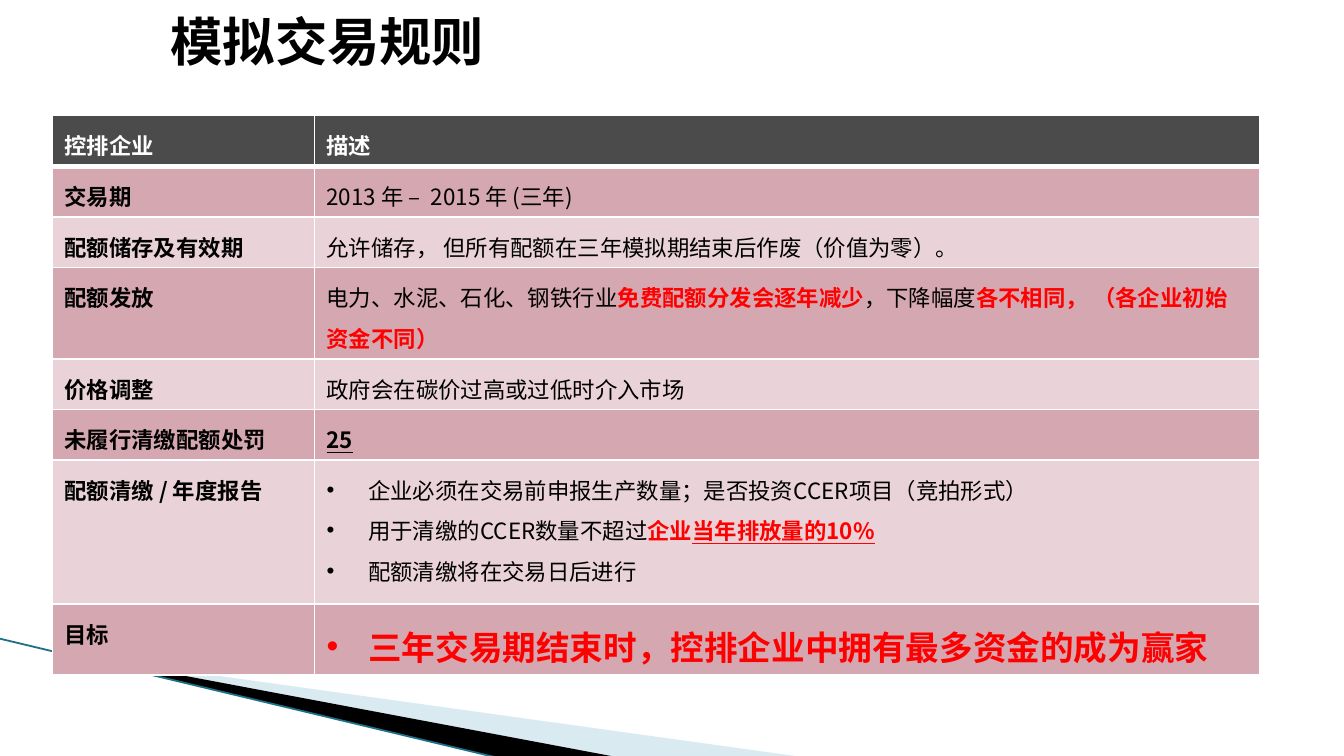
from lxml.etree import SubElement
from pptx import Presentation
from pptx.dml.color import RGBColor
from pptx.enum.shapes import MSO_CONNECTOR
from pptx.enum.text import MSO_ANCHOR, PP_ALIGN
from pptx.oxml.ns import qn
from pptx.util import Inches, Pt

WHITE = RGBColor(0xFF, 0xFF, 0xFF)
BLACK = RGBColor(0, 0, 0)
RED = RGBColor(0xFF, 0, 0)
HEADER = RGBColor(0x4B, 0x4B, 0x4B)
ROSE = RGBColor(0xD5, 0xA7, 0xB1)
PALE_ROSE = RGBColor(0xEA, 0xD3, 0xD8)
PALE_BLUE = RGBColor(0xA0, 0xCB, 0xDC)
TEAL = RGBColor(0x1C, 0x70, 0x88)
FONT = "Noto Sans CJK SC"

SLIDE_WIDTH = 10
SLIDE_HEIGHT = SLIDE_WIDTH * 9 / 16

PLAIN = {}
BOLD = {"bold": True}
ALERT = {"bold": True, "color": RED}
ALERT_UNDERLINED = {**ALERT, "underline": True}
GOAL = {**ALERT, "size": Pt(18)}

TITLE = "模拟交易规则"
HEADINGS = ("控排企业", "描述")
# Label, row height, bulleted, paragraphs made of (text, format) runs
RULES = [
    ("交易期", 0.32, False, [[("2013 年 –  2015 年 (三年)", PLAIN)]]),
    ("配额储存及有效期", 0.32, False,
     [[("允许储存， 但所有配额在三年模拟期结束后作废（价值为零）。", PLAIN)]]),
    ("配额发放", 0.57, False,
     [[("电力、水泥、石化、钢铁行业", PLAIN),
       ("免费配额分发会逐年减少", ALERT),
       ("，下降幅度", PLAIN),
       ("各不相同， （各企业初始资金不同）", ALERT)]]),
    ("价格调整", 0.32, False, [[("政府会在碳价过高或过低时介入市场", PLAIN)]]),
    ("未履行清缴配额处罚", 0.32, False,
     [[("25", {"bold": True, "underline": True})]]),
    ("配额清缴 / 年度报告", 1.07, True,
     [[("企业必须在交易前申报生产数量；是否投资CCER项目（竞拍形式）", PLAIN)],
      [("用于清缴的CCER数量不超过", PLAIN),
       ("企业", ALERT),
       ("当年排放量的10%", ALERT_UNDERLINED)],
      [("配额清缴将在交易日后进行", PLAIN)]]),
    ("目标", 0.45, True,
     [[("三年交易期结束时，控排企业中拥有最多资金的成为赢家", GOAL)]]),
]
HEADER_HEIGHT = 0.32
COLUMN_WIDTHS = (1.95, 7.03)
# Points, fill, opacity in percent
WEDGES = [
    ([(0.55, 4.88), (5.95, 5.63), (4.56, 5.63)], PALE_BLUE, 40),
    ([(0.53, 4.87), (4.57, 5.63), (3.72, 5.64), (0.54, 4.88)], BLACK, 100),
]


def add_wedge(slide, points, color, opacity):
    corners = [(Inches(x), Inches(y)) for x, y in points]
    builder = slide.shapes.build_freeform(*corners[0])
    builder.add_line_segments(corners[1:], close=True)
    wedge = builder.convert_to_shape()
    wedge.shadow.inherit = False
    wedge.line.fill.background()
    wedge.fill.solid()
    wedge.fill.fore_color.rgb = color
    if opacity < 100:
        srgb = wedge._element.spPr.find(".//" + qn("a:srgbClr"))
        SubElement(srgb, qn("a:alpha"), val=str(opacity * 1000))


def add_edge_line(slide):
    edge = slide.shapes.add_connector(
        MSO_CONNECTOR.STRAIGHT, Inches(-0.01), Inches(4.75), Inches(3.71), Inches(5.64))
    edge.line.color.rgb = TEAL
    edge.line.width = Pt(0.95)
    SubElement(edge._element.spPr, qn("a:effectLst"))


def add_run(paragraph, text, formats):
    run = paragraph.add_run()
    run.text = text
    values = {"name": FONT, "size": Pt(12), "bold": False, "color": BLACK, **formats}
    run.font.color.rgb = values.pop("color")
    for name, value in values.items():
        setattr(run.font, name, value)
    SubElement(run._r.get_or_add_rPr(), qn("a:ea"), typeface=values["name"])


def add_bullet(paragraph):
    properties = paragraph._p.get_or_add_pPr()
    properties.set("marL", str(Inches(0.31)))
    properties.set("indent", str(-Inches(0.31)))
    SubElement(properties, qn("a:buFont"), typeface="Arial")
    SubElement(properties, qn("a:buChar"), char="•")


def set_borders(cell, widths):
    for side, width in widths.items():
        border = SubElement(cell._tc.get_or_add_tcPr(), qn(f"a:ln{side}"),
                            w=str(Pt(width)))
        fill = SubElement(border, qn("a:solidFill"))
        SubElement(fill, qn("a:srgbClr"), val=str(WHITE))


def fill_cell(cell, paragraphs, color, borders, bulleted=False):
    set_borders(cell, borders)
    cell.fill.solid()
    cell.fill.fore_color.rgb = color
    cell.margin_left = cell.margin_right = Inches(0.09)
    cell.margin_top = cell.margin_bottom = Pt(2.7)
    frame = cell.text_frame
    for index, runs in enumerate(paragraphs):
        paragraph = frame.add_paragraph() if index else frame.paragraphs[0]
        paragraph.line_spacing = 1.25
        if bulleted:
            add_bullet(paragraph)
        for text, formats in runs:
            add_run(paragraph, text, formats)


def add_rules_table(slide):
    heights = [HEADER_HEIGHT] + [rule[1] for rule in RULES]
    table = slide.shapes.add_table(
        len(heights), len(COLUMN_WIDTHS), Inches(0.39), Inches(0.86),
        Inches(sum(COLUMN_WIDTHS)), Inches(sum(heights))).table
    for column, width in zip(table.columns, COLUMN_WIDTHS):
        column.width = Inches(width)
    for row, height in zip(table.rows, heights):
        row.height = Inches(height)

    thin = dict.fromkeys("LRTB", 1)
    for column, heading in enumerate(HEADINGS):
        fill_cell(table.cell(0, column), [[(heading, {"bold": True, "color": WHITE})]],
                  HEADER, {**thin, "B": 3})
    for row, (label, _, bulleted, paragraphs) in enumerate(RULES, start=1):
        color = ROSE if row % 2 else PALE_ROSE
        borders = {**thin, "T": 3} if row == 1 else thin
        fill_cell(table.cell(row, 0), [[(label, BOLD)]], color, borders)
        fill_cell(table.cell(row, 1), paragraphs, color, borders, bulleted)


def place_title(slide):
    title = slide.shapes.title
    title.left, title.top = Inches(1.17), Inches(0.02)
    title.width, title.height = Inches(3.33), Inches(0.57)
    title.text_frame.vertical_anchor = MSO_ANCHOR.TOP
    paragraph = title.text_frame.paragraphs[0]
    paragraph.alignment = PP_ALIGN.LEFT
    add_run(paragraph, TITLE, {"name": "Arial", "size": Pt(28), "bold": True})


def main():
    presentation = Presentation()
    presentation.slide_width = Inches(SLIDE_WIDTH)
    presentation.slide_height = Inches(SLIDE_HEIGHT)
    slide = presentation.slides.add_slide(presentation.slide_layouts[5])
    place_title(slide)
    for points, color, opacity in WEDGES:
        add_wedge(slide, points, color, opacity)
    add_edge_line(slide)
    add_rules_table(slide)
    presentation.save("out.pptx")


if __name__ == "__main__":
    main()
